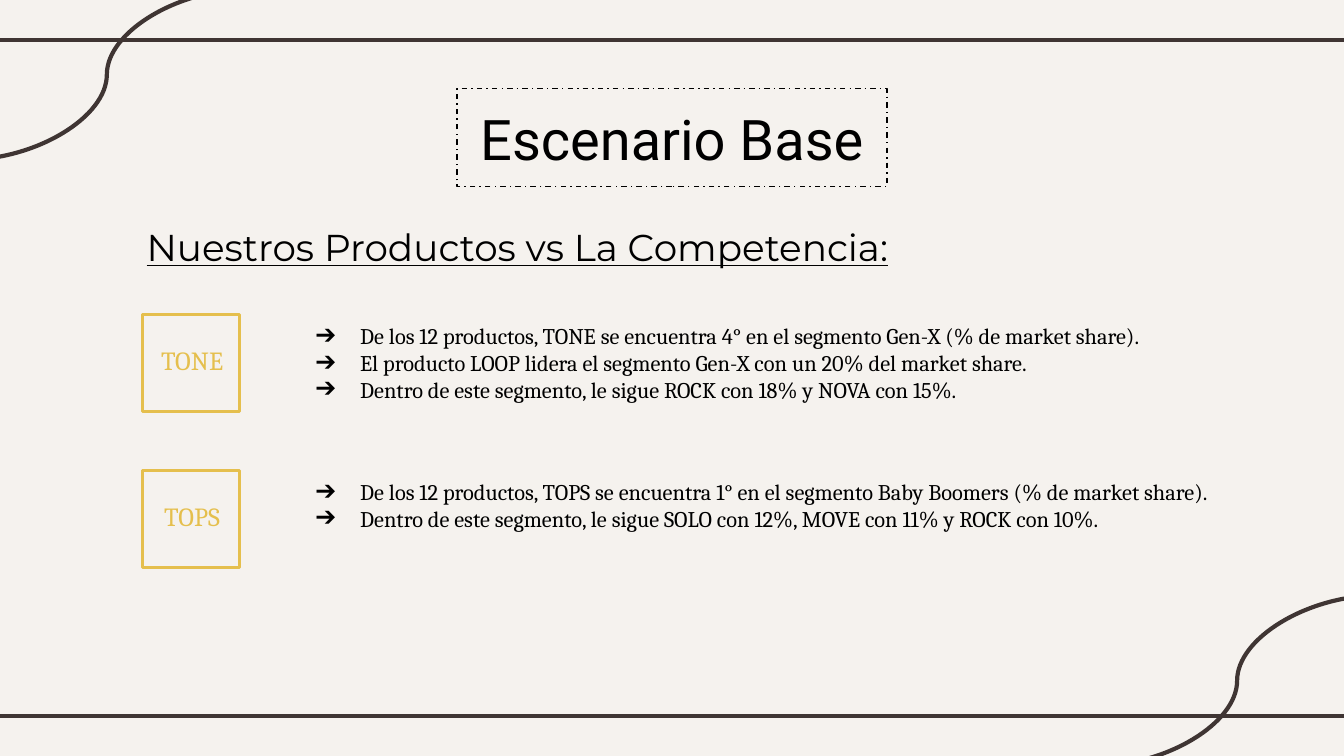
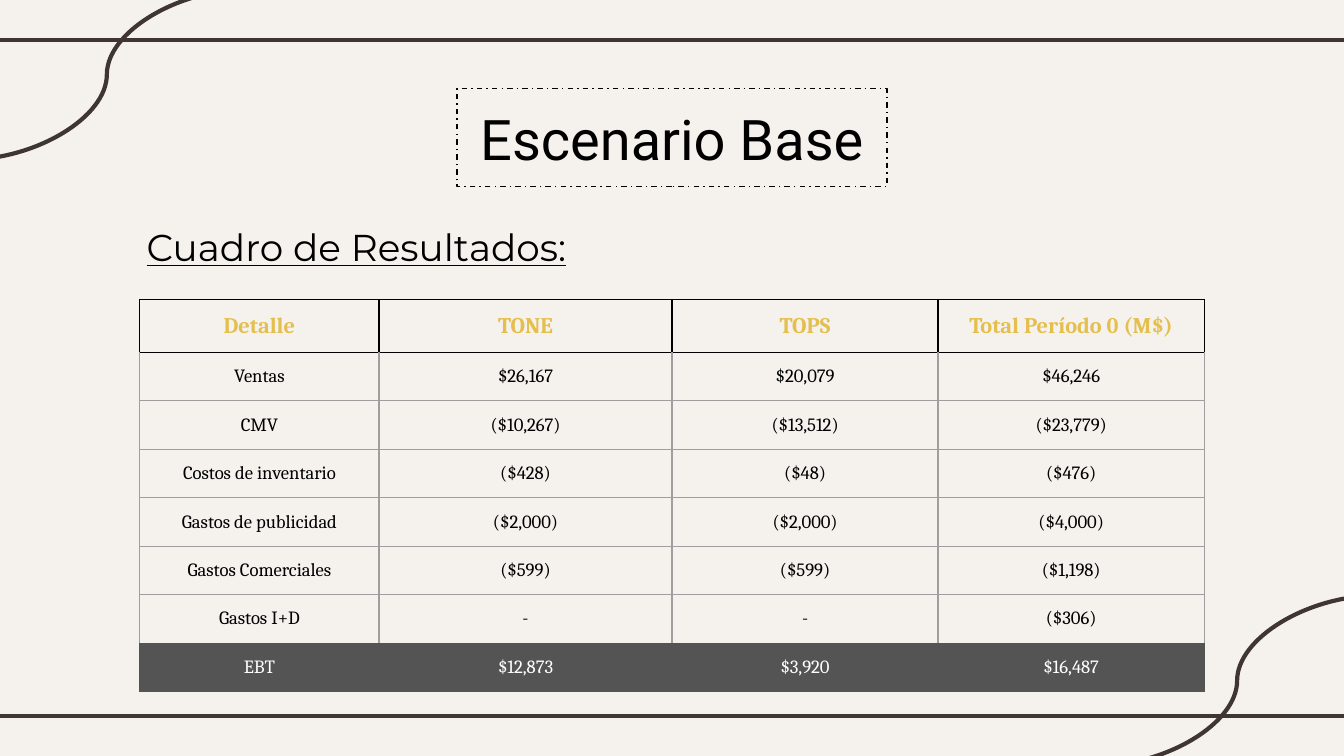
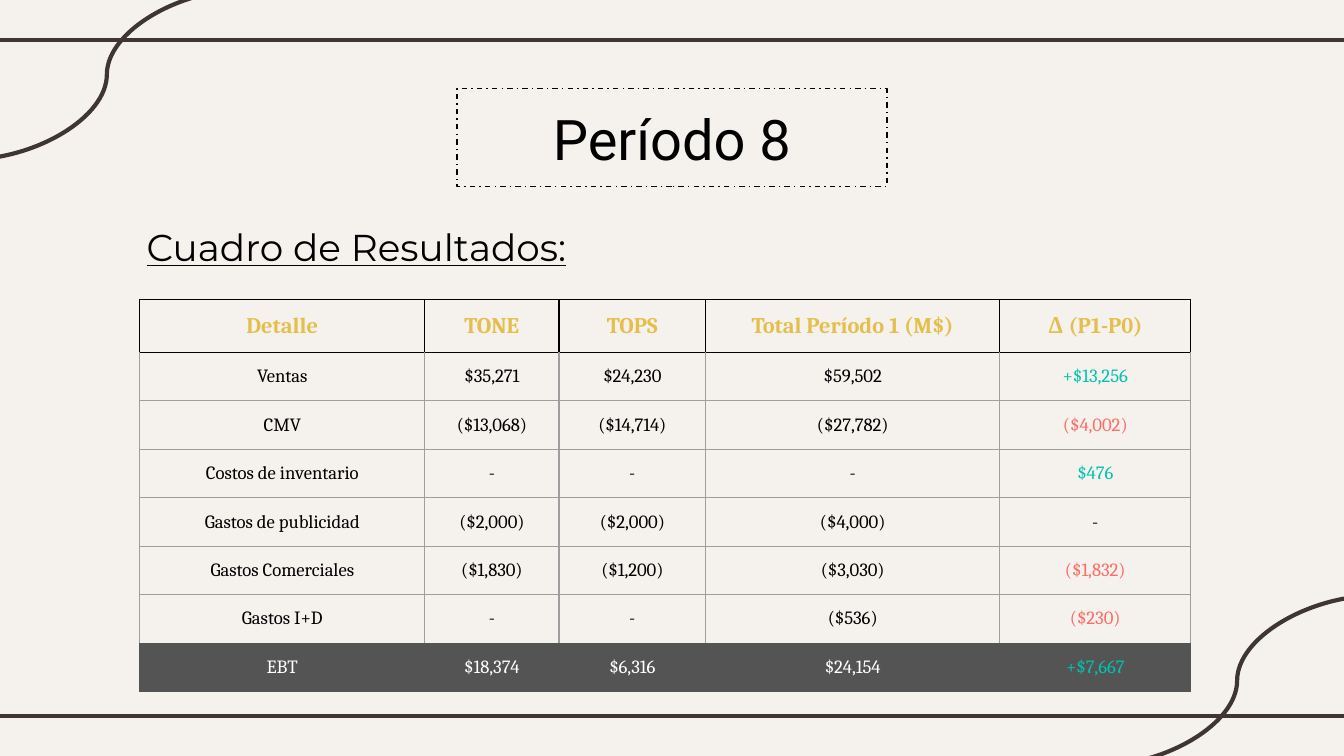
from dataclasses import dataclass
from typing import Any, NamedTuple

from lxml.etree import SubElement
from pptx import Presentation
from pptx.dml.color import RGBColor
from pptx.enum.dml import MSO_LINE
from pptx.enum.shapes import MSO_CONNECTOR, MSO_SHAPE
from pptx.enum.text import MSO_ANCHOR, MSO_AUTO_SIZE, PP_ALIGN
from pptx.oxml import parse_xml
from pptx.oxml.ns import nsdecls, qn
from pptx.util import Inches, Pt


@dataclass(frozen=True)
class TextStyle:
    font: str
    size: float
    color: str
    bold: bool = False
    underline: bool = False


@dataclass(frozen=True)
class Theme:
    paper: str = "F5F2EE"
    bark: str = "3F3533"
    ink: str = "000000"
    gold: str = "E5BF4D"
    grid: str = "9E9E9E"
    slate: str = "545454"
    white: str = "FFFFFF"
    gain: str = "00C3B1"
    loss: str = "FF6B65"
    band_width: float = 2.25
    badge_width: float = 1.5
    hairline: float = 0.75
    title: TextStyle = TextStyle("Roboto", 30, "000000")
    subtitle: TextStyle = TextStyle("Montserrat", 20, "000000", underline=True)
    badge: TextStyle = TextStyle("Cambria", 14, "E5BF4D")
    finding: TextStyle = TextStyle("Cambria", 12, "000000")
    heading: TextStyle = TextStyle("Cambria", 12, "E5BF4D", bold=True)
    cell_font: str = "Cambria"
    cell_size: float = 10


THEME = Theme()


class Box(NamedTuple):
    left: float
    top: float
    width: float
    height: float


class Band(NamedTuple):
    kind: MSO_CONNECTOR
    start: tuple[float, float]
    end: tuple[float, float]


class Product(NamedTuple):
    name: str
    findings: list[str]
    list_idx: int


class Statement(NamedTuple):
    title: str
    widths: list[float]
    rows: list[list[str]]


BANDS = [
    Band(MSO_CONNECTOR.STRAIGHT, (-0.08, 0.3), (10.08, 0.3)),
    Band(MSO_CONNECTOR.STRAIGHT, (-0.08, 5.33), (10.08, 5.33)),
    Band(MSO_CONNECTOR.CURVE, (10.26, 4.43), (8.15, 5.7)),
    Band(MSO_CONNECTOR.CURVE, (1.85, -0.08), (-0.26, 1.19)),
]
TITLE_BOX = Box(3.4, 0.66, 3.2, 0.73)
SUBTITLE_BOX = Box(0.99, 1.57, 7.87, 0.48)
FIRST_PRODUCT_TOP = 2.3
PRODUCT_PITCH = 1.16
TABLE_LEFT, TABLE_TOP, ROW_HEIGHT = 1.04, 2.23, 0.34

PRODUCTS = [
    Product("TONE", [
        "De los 12 productos, TONE se encuentra 4° en el segmento Gen-X (% de market share).",
        "El producto LOOP lidera el segmento Gen-X con un 20% del market share.",
        "Dentro de este segmento, le sigue ROCK con 18% y NOVA con 15%.",
    ], list_idx=2),
    Product("TOPS", [
        "De los 12 productos, TOPS se encuentra 1° en el segmento Baby Boomers (% de market share).",
        "Dentro de este segmento, le sigue SOLO con 12%, MOVE con 11% y ROCK con 10%.",
    ], list_idx=4),
]
STATEMENTS = [
    Statement("Escenario Base", [1.78, 2.18, 1.98, 1.98], [
        ["Detalle", "TONE", "TOPS", "Total Período 0 (M$)"],
        ["Ventas", "$26,167", "$20,079", "$46,246"],
        ["CMV", "($10,267)", "($13,512)", "($23,779)"],
        ["Costos de inventario", "($428)", "($48)", "($476)"],
        ["Gastos de publicidad", "($2,000)", "($2,000)", "($4,000)"],
        ["Gastos Comerciales", "($599)", "($599)", "($1,198)"],
        ["Gastos I+D", "-", "-", "($306)"],
        ["EBT", "$12,873", "$3,920", "$16,487"],
    ]),
    Statement("Período 8", [2.12, 1, 1.09, 2.19, 1.42], [
        ["Detalle", "TONE", "TOPS", "Total Período 1 (M$)", "Δ (P1-P0)"],
        ["Ventas", "$35,271", "$24,230", "$59,502", "+$13,256"],
        ["CMV", "($13,068)", "($14,714)", "($27,782)", "($4,002)"],
        ["Costos de inventario", "-", "-", "-", "$476"],
        ["Gastos de publicidad", "($2,000)", "($2,000)", "($4,000)", "-"],
        ["Gastos Comerciales", "($1,830)", "($1,200)", "($3,030)", "($1,832)"],
        ["Gastos I+D", "-", "-", "($536)", "($230)"],
        ["EBT", "$18,374", "$6,316", "$24,154", "+$7,667"],
    ]),
]


def rgb(color: str) -> RGBColor:
    return RGBColor.from_string(color)


def apply_format(target: Any, values: dict[str, Any]) -> None:
    for attribute, value in values.items():
        setattr(target, attribute, value)


def place(shape: Any, box: Box) -> None:
    apply_format(shape, {side: Inches(length) for side, length in box._asdict().items()})


def set_line(line: Any, color: str, width: float) -> None:
    line.color.rgb = rgb(color)
    line.width = Pt(width)


def write(frame: Any, lines: list[str], style: TextStyle, align: PP_ALIGN, after: float = 0) -> None:
    """Fill a text frame with one styled paragraph per line."""
    for number, line in enumerate(lines):
        paragraph = frame.add_paragraph() if number else frame.paragraphs[0]
        apply_format(paragraph, {"alignment": align, "space_before": Pt(0), "space_after": Pt(after)})
        run = paragraph.add_run()
        run.text = line
        apply_format(run.font, {"name": style.font, "size": Pt(style.size),
                                "bold": style.bold, "underline": style.underline})
        run.font.color.rgb = rgb(style.color)


def fit_frame(frame: Any, anchor: MSO_ANCHOR = MSO_ANCHOR.TOP) -> None:
    """Give a text frame the deck's insets, wrapping and fixed size."""
    margins = {f"margin_{side}": Inches(0.1) for side in ("left", "top", "right", "bottom")}
    apply_format(frame, {"word_wrap": True, "auto_size": MSO_AUTO_SIZE.NONE,
                         "vertical_anchor": anchor, **margins})


def add_arrow_bullet(paragraph: Any) -> None:
    properties = paragraph._p.get_or_add_pPr()
    properties.set("marL", str(Inches(0.5)))
    properties.set("indent", str(Inches(-0.33)))
    bullet_color = SubElement(properties, qn("a:buClr"))
    SubElement(bullet_color, qn("a:srgbClr"), val=THEME.ink)
    SubElement(properties, qn("a:buFont"), typeface=THEME.finding.font)
    SubElement(properties, qn("a:buChar"), char="➔")


def decorate_master(master: Any, slide: Any) -> None:
    """Draw the bands with the slide's tools, then hand them to the master."""
    master.background.fill.solid()
    master.background.fill.fore_color.rgb = rgb(THEME.paper)
    connectors = []
    for band in BANDS:
        ends = [Inches(length) for length in (*band.start, *band.end)]
        connector = slide.shapes.add_connector(band.kind, *ends)
        set_line(connector.line, THEME.bark, THEME.band_width)
        SubElement(connector.element.spPr, qn("a:effectLst"))
        connectors.append(connector)
    for connector in connectors:
        master.element.cSld.spTree.append(connector.element)


def add_headed_slide(deck: Any, layout: str, title: str, subtitle: str) -> Any:
    slide = deck.slides.add_slide(deck.slide_layouts.get_by_name(layout))
    heading, subheading = slide.shapes.title, slide.placeholders[1]
    place(heading, TITLE_BOX)
    set_line(heading.line, THEME.ink, THEME.hairline)
    heading.line.dash_style = MSO_LINE.DASH_DOT
    fit_frame(heading.text_frame, MSO_ANCHOR.MIDDLE)
    write(heading.text_frame, [title], THEME.title, PP_ALIGN.CENTER)
    place(subheading, SUBTITLE_BOX)
    fit_frame(subheading.text_frame)
    write(subheading.text_frame, [subtitle], THEME.subtitle, PP_ALIGN.LEFT, after=12)
    return slide


def add_product(slide: Any, product: Product, top: float) -> None:
    square = slide.shapes.add_shape(MSO_SHAPE.RECTANGLE, 0, 0, 0, 0)
    place(square, Box(1.06, top + 0.04, 0.72, 0.72))
    square.shadow.inherit = False
    square.fill.background()
    set_line(square.line, THEME.gold, THEME.badge_width)

    label = slide.shapes.add_textbox(0, 0, 0, 0)
    place(label, Box(0.53, top + 0.16, 1.8, 0.48))
    fit_frame(label.text_frame)
    write(label.text_frame, [product.name], THEME.badge, PP_ALIGN.CENTER)

    findings = slide.placeholders[product.list_idx]
    place(findings, Box(2.08, top, 7.12, 0.8))
    fit_frame(findings.text_frame)
    write(findings.text_frame, product.findings, THEME.finding, PP_ALIGN.LEFT)
    for paragraph in findings.text_frame.paragraphs:
        add_arrow_bullet(paragraph)


def cell_style(rows: list[list[str]], row: int, column: int) -> TextStyle:
    if row == 0:
        return THEME.heading
    color = THEME.white if row == len(rows) - 1 else THEME.ink
    value = rows[row][column]
    if rows[0][column].startswith("Δ") and value != "-":
        color = THEME.loss if value.startswith("(") else THEME.gain
    return TextStyle(THEME.cell_font, THEME.cell_size, color)


def border_cell(cell: Any, row: int, last: int) -> None:
    """Heading and total rows keep their own colour on the edges they share."""
    def edge_color(header_until: int, total_from: int) -> str:
        if row <= header_until:
            return THEME.ink
        return THEME.slate if row >= total_from else THEME.grid

    edges = {"L": edge_color(0, last), "R": edge_color(0, last),
             "T": edge_color(1, last), "B": edge_color(0, last - 1)}
    properties = cell._tc.get_or_add_tcPr()
    for position, (side, color) in enumerate(edges.items()):
        properties.insert(position, parse_xml(
            f'<a:ln{side} {nsdecls("a")} w="{Pt(THEME.hairline)}"><a:solidFill>'
            f'<a:srgbClr val="{color}"/></a:solidFill></a:ln{side}>'))


def add_statement(slide: Any, statement: Statement) -> None:
    rows, widths = statement.rows, statement.widths
    last = len(rows) - 1
    table = slide.shapes.add_table(
        len(rows), len(widths), Inches(TABLE_LEFT), Inches(TABLE_TOP),
        Inches(sum(widths)), Inches(ROW_HEIGHT * len(rows))).table
    apply_format(table, {"first_row": False, "horz_banding": False})
    for column, width in zip(table.columns, widths):
        column.width = Inches(width)
    for row, values in enumerate(rows):
        table.rows[row].height = Inches(ROW_HEIGHT)
        for column, value in enumerate(values):
            cell = table.cell(row, column)
            apply_format(cell, {f"margin_{side}": Inches(0.1)
                                for side in ("left", "top", "right", "bottom")})
            if row == last:
                cell.fill.solid()
                cell.fill.fore_color.rgb = rgb(THEME.slate)
            else:
                cell.fill.background()
            border_cell(cell, row, last)
            write(cell.text_frame, [value], cell_style(rows, row, column), PP_ALIGN.CENTER)


def main() -> None:
    deck = Presentation()
    deck.slide_width = Inches(10)
    deck.slide_height = deck.slide_width * 9 // 16

    comparison = add_headed_slide(deck, "Comparison", "Escenario Base",
                                  "Nuestros Productos vs La Competencia:")
    decorate_master(deck.slide_master, comparison)
    for number, product in enumerate(PRODUCTS):
        add_product(comparison, product, FIRST_PRODUCT_TOP + number * PRODUCT_PITCH)
    unused = comparison.placeholders[3].element
    unused.getparent().remove(unused)

    for statement in STATEMENTS:
        slide = add_headed_slide(deck, "Title Slide", statement.title, "Cuadro de Resultados:")
        add_statement(slide, statement)

    deck.save("out.pptx")


if __name__ == "__main__":
    main()
